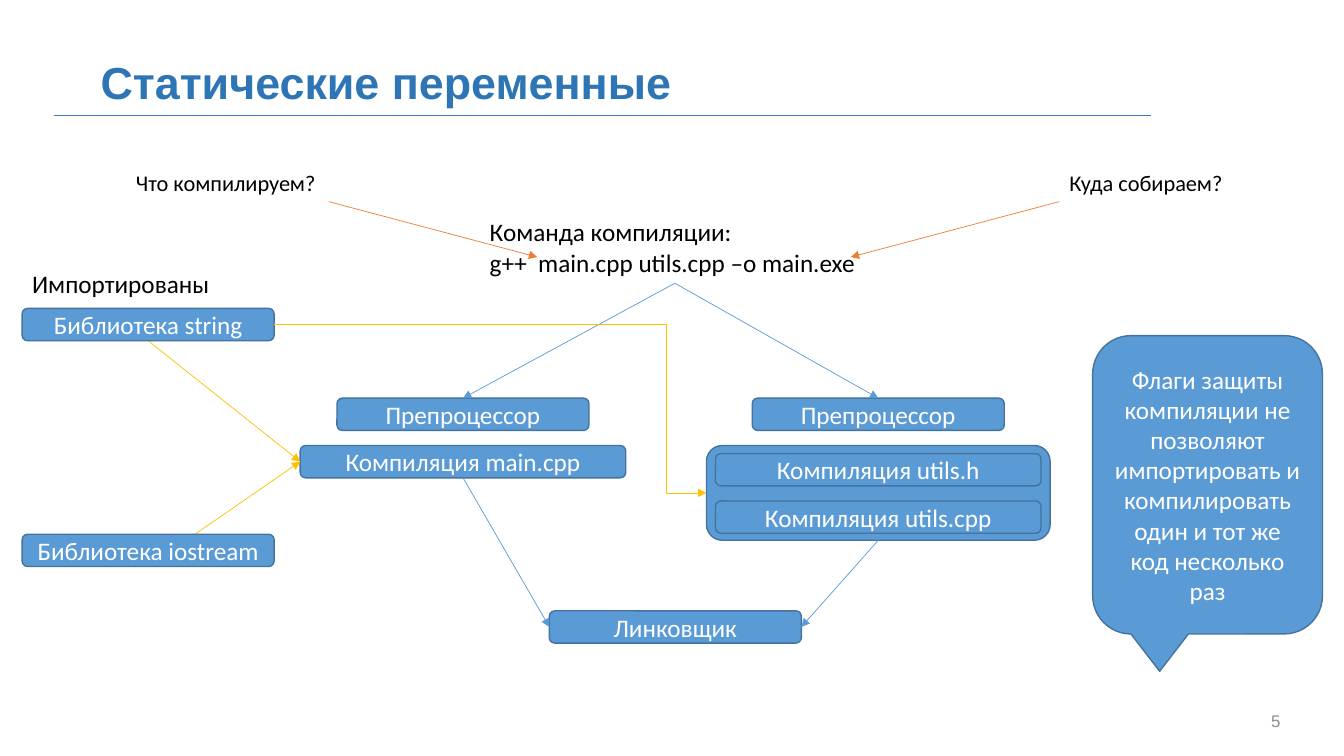
from dataclasses import dataclass

from lxml import etree
from pptx import Presentation
from pptx.dml.color import RGBColor
from pptx.enum.shapes import MSO_CONNECTOR, MSO_SHAPE
from pptx.enum.text import MSO_ANCHOR, MSO_AUTO_SIZE, PP_ALIGN
from pptx.oxml.ns import qn
from pptx.util import Inches, Pt

STRAIGHT, ELBOW = MSO_CONNECTOR.STRAIGHT, MSO_CONNECTOR.ELBOW
ROUNDED, CALLOUT = MSO_SHAPE.ROUNDED_RECTANGLE, MSO_SHAPE.ROUNDED_RECTANGULAR_CALLOUT
LEFT, CENTER, RIGHT = PP_ALIGN.LEFT, PP_ALIGN.CENTER, PP_ALIGN.RIGHT
TOP, MIDDLE = MSO_ANCHOR.TOP, MSO_ANCHOR.MIDDLE
FIT_TEXT = MSO_AUTO_SIZE.SHAPE_TO_FIT_TEXT
TOP_SIDE, LEFT_SIDE, BOTTOM_SIDE, RIGHT_SIDE = range(4)

SLIDE_WIDTH, SLIDE_HEIGHT = Inches(13.33), Inches(7.5)
COLUMN, ROW = SLIDE_WIDTH / 40, SLIDE_HEIGHT / 30
BUTTON_WIDTH, WIDE_BUTTON, BUTTON_HEIGHT = 7.5, 9.69, 1.28


@dataclass(frozen=True)
class Theme:
    heading_font: str = "Arial"
    body_font: str = "Calibri"
    heading: str = "2E75B6"
    rule: str = "4472C4"
    muted: str = "8C8C8C"
    ink: str = "000000"
    paper: str = "FFFFFF"
    fill: str = "5B9BD5"
    outline: str = "43739E"
    question: str = "ED7D31"
    library: str = "FFC000"
    title_size: int = 32
    body_size: int = 18
    question_size: int = 16
    number_size: int = 12
    hairline: float = 0.5
    border: float = 1


THEME = Theme()


@dataclass(frozen=True)
class Box:
    x: float
    y: float
    width: float
    height: float

    def inner(self, x, y, width, height):
        return Box(self.x + x, self.y + y, width, height)

    def centered(self, middle, y, width, height=BUTTON_HEIGHT):
        return self.inner(middle - width / 2, y, width, height)

    def point(self, x, y):
        return round((self.x + x) * COLUMN), round((self.y + y) * ROW)

    def frame(self):
        return (*self.point(0, 0), round(self.width * COLUMN), round(self.height * ROW))


def write(frame, lines, size, color, align=LEFT, font=THEME.body_font, bold=False):
    for index, line in enumerate(lines):
        para = frame.add_paragraph() if index else frame.paragraphs[0]
        para.alignment = align
        span = para.add_run()
        span.text = line
        span.font.name = font
        span.font.size = Pt(size)
        span.font.bold = bold
        span.font.color.rgb = RGBColor.from_string(color)


def add_text(page, box, lines, size, color=THEME.ink, anchor=TOP, wrap=False, **style):
    label = page.shapes.add_textbox(*box.frame())
    frame = label.text_frame
    frame.word_wrap = wrap
    if not wrap:
        frame.auto_size = FIT_TEXT
    frame.vertical_anchor = anchor
    write(frame, lines, size, color, **style)
    return label


def add_panel(page, box, text="", preset=ROUNDED):
    panel = page.shapes.add_shape(preset, *box.frame())
    panel.shadow.inherit = False
    panel.fill.solid()
    panel.fill.fore_color.rgb = RGBColor.from_string(THEME.fill)
    panel.line.color.rgb = RGBColor.from_string(THEME.outline)
    panel.line.width = Pt(THEME.border)
    if text:
        panel.text_frame.word_wrap = True
        panel.text_frame.vertical_anchor = MIDDLE
        write(panel.text_frame, [text], THEME.body_size, THEME.paper, CENTER)
    return panel


def add_line(page, start, end, color, arrow=True, kind=STRAIGHT):
    line = page.shapes.add_connector(kind, *start, *end)
    line.line.color.rgb = RGBColor.from_string(color)
    line.line.width = Pt(THEME.hairline)
    if arrow:
        stroke = line.line._get_or_add_ln()
        etree.SubElement(stroke, qn("a:tailEnd"), type="triangle")
    etree.SubElement(line.element.spPr, qn("a:effectLst"))
    return line


def join(page, source, source_side, target, target_side, color, kind=STRAIGHT):
    line = add_line(page, (0, 0), (0, 0), color, kind=kind)
    line.begin_connect(source, source_side)
    line.end_connect(target, target_side)
    return line


def add_header(page, box):
    add_text(page, box.inner(2.7, 2.12, 25.35, 2.2), ["Статические переменные"],
             THEME.title_size, THEME.heading, MIDDLE, True,
             font=THEME.heading_font, bold=True)
    add_line(page, box.point(1.62, 4.56), box.point(34.26, 4.56), THEME.rule, arrow=False)


def add_page_number(page, box):
    add_text(page, box, ["5"], THEME.number_size, THEME.muted, MIDDLE, True,
             align=RIGHT, font=THEME.heading_font)


def add_command(page, box):
    command = add_text(page, box.inner(10.53, 1.88, 11.61, 2.84),
                       ["Команда компиляции:", "g++  main.cpp utils.cpp –o main.exe"],
                       THEME.body_size)
    questions = (("Что компилируем?", 0, 6.03, 6.03, 12.24),
                 ("Куда собираем?", 27.78, 5.22, 27.78, 21.57))
    for text, x, width, start, end in questions:
        add_text(page, box.inner(x, 0, width, 1.48), [text], THEME.question_size)
        add_line(page, box.point(start, 1.48), box.point(end, 3.68), THEME.question)
    return command


def add_build(page, box, command):
    main_middle, utils_middle = 4.84, 17.2
    main = add_panel(page, box.centered(main_middle, 1.88, WIDE_BUTTON),
                     "Компиляция main.cpp")
    utils = add_panel(page, box.centered(utils_middle, 1.88, 10.23, 3.76))
    for text, y in (("Компиляция utils.h", 2.2), ("Компиляция utils.cpp", 4.08)):
        add_panel(page, box.centered(utils_middle, y, WIDE_BUTTON), text)
    linker = add_panel(page, box.centered(box.width / 2, box.height - BUTTON_HEIGHT,
                                          BUTTON_WIDTH), "Линковщик")
    branches = ((main_middle, main, LEFT_SIDE), (utils_middle, utils, RIGHT_SIDE))
    for middle, unit, linker_side in branches:
        preprocessor = add_panel(page, box.centered(middle, 0, BUTTON_WIDTH), "Препроцессор")
        join(page, command, BOTTOM_SIDE, preprocessor, TOP_SIDE, THEME.fill)
        join(page, unit, BOTTOM_SIDE, linker, linker_side, THEME.fill)
    return main, utils


def add_libraries(page, box, main, utils):
    add_text(page, box.inner(0, 0, 5.94, 1.6), ["Импортированы"], THEME.body_size)
    string, iostream = [
        add_panel(page, box.inner(0, y, BUTTON_WIDTH, BUTTON_HEIGHT), f"Библиотека {name}")
        for name, y in (("string", 1.8), ("iostream", box.height - BUTTON_HEIGHT))]
    for library in (string, iostream):
        line = join(page, library, BOTTOM_SIDE, main, LEFT_SIDE, THEME.library)
        library.element.addprevious(line.element)
    bent = join(page, string, RIGHT_SIDE, utils, LEFT_SIDE, THEME.library, ELBOW)
    guides = bent.element.spPr.find(qn("a:prstGeom")).find(qn("a:avLst"))
    etree.SubElement(guides, qn("a:gd"), name="adj1", fmla="val 90700")


def add_note(page, box):
    add_panel(page, box, "Флаги защиты компиляции не позволяют импортировать и "
              "компилировать один и тот же код несколько раз", CALLOUT)


def main():
    deck = Presentation()
    deck.slide_width, deck.slide_height = SLIDE_WIDTH, SLIDE_HEIGHT
    page = deck.slides.add_slide(deck.slide_layouts[6])
    add_header(page, Box(0, 0, 40, 5))
    add_page_number(page, Box(34.5, 27.8, 3.9, 1.6))
    command = add_command(page, Box(3.75, 6.52, 33, 4.72))
    main_unit, utils_unit = add_build(page, Box(8.94, 15.8, 22.32, 9.72), command)
    add_libraries(page, Box(0.66, 10.44, 7.5, 12.04), main_unit, utils_unit)
    add_note(page, Box(32.52, 13.32, 6.84, 11.84))
    deck.save("out.pptx")


if __name__ == "__main__":
    main()
